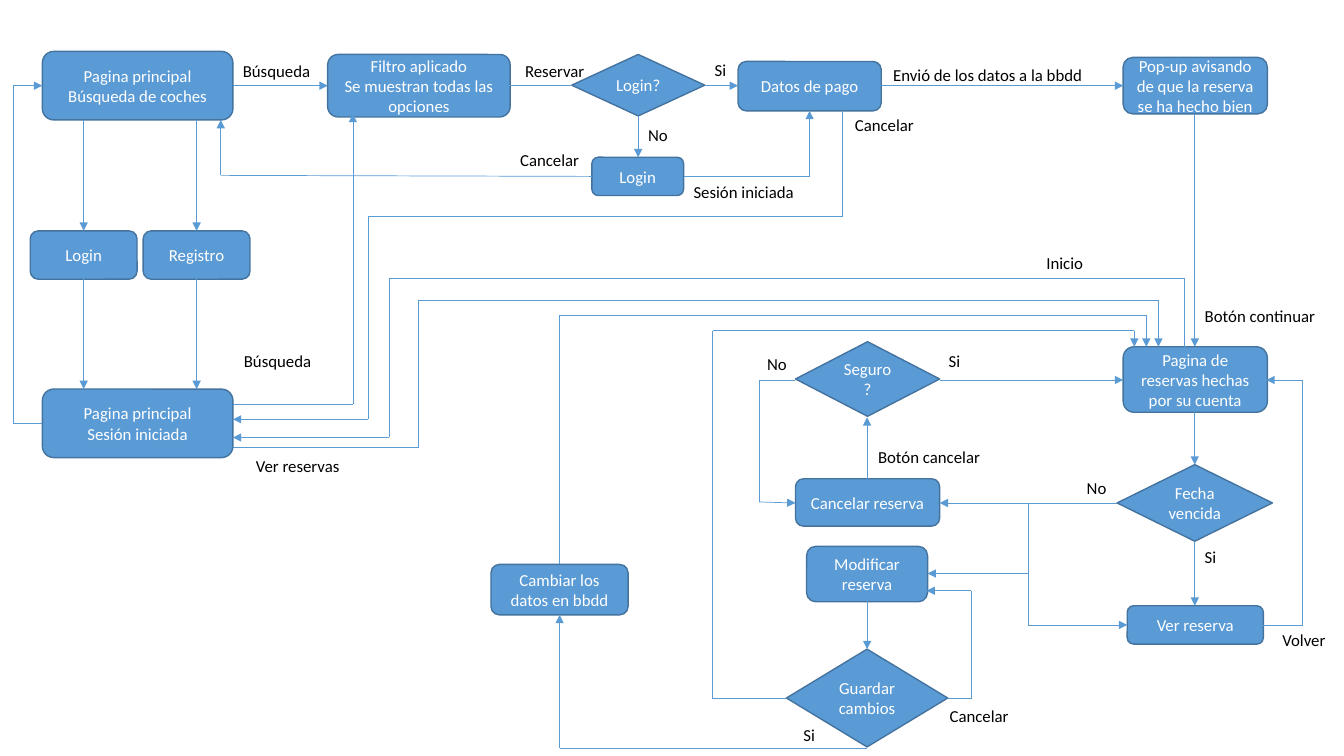
import pptx
import pptx.util
import pptx.dml.color
import pptx.enum.shapes
import pptx.enum.text
import lxml.etree
import itertools

Inches = pptx.util.Inches
Pt = pptx.util.Pt
Kind = pptx.enum.shapes.MSO_SHAPE
Text = pptx.enum.text
hues = {"fill": "5B9BD5", "edge": "43739E", "light": "FFFFFF", "dark": "000000"}
color = {name: pptx.dml.color.RGBColor.from_string(hue) for name, hue in hues.items()}

deck = pptx.Presentation()
deck.slide_width = Inches(13.33)
deck.slide_height = Inches(7.5)
slide = deck.slides.add_slide(deck.slide_layouts[6])


def write(frame, words, ink, align):
    frame.text = words
    for para in frame.paragraphs:
        para.alignment = align
        para.font.name = "Calibri"
        para.font.size = Pt(12)
        para.font.color.rgb = color[ink]


def join(start, end, arrow):
    line = slide.shapes.add_connector(
        pptx.enum.shapes.MSO_CONNECTOR.STRAIGHT, *map(Inches, start + end))
    line.line.color.rgb = color["fill"]
    line.line.width = Pt(0.5)
    if arrow:
        tail = pptx.oxml.ns.qn("a:tailEnd")
        lxml.etree.SubElement(line.line._get_or_add_ln(), tail, type="triangle")
    lxml.etree.SubElement(line._element.spPr, pptx.oxml.ns.qn("a:effectLst"))


boxes = [
    ("Pagina principal\nBúsqueda de coches", 0.42, 0.51, 1.89, 0.68),
    ("Filtro aplicado\nSe muestran todas las opciones", 3.25, 0.54, 1.81, 0.62),
    ("Login", 5.87, 1.56, 0.91, 0.38),
    ("Datos de pago", 7.32, 0.61, 1.42, 0.49),
    ("Pop-up avisando de que la reserva se ha hecho bien", 11.14, 0.57, 1.43, 0.56),
    ("Pagina de reservas hechas por su cuenta", 11.14, 3.44, 1.43, 0.65),
    ("Modificar reserva", 8, 5.42, 1.2, 0.55),
    ("Ver reserva", 11.18, 6.01, 1.35, 0.38),
    ("Cancelar reserva", 7.89, 4.75, 1.43, 0.47),
    ("Login", 0.3, 2.29, 1.06, 0.48),
    ("Registro", 1.42, 2.29, 1.06, 0.48),
    ("Pagina principal\nSesión iniciada", 0.42, 3.86, 1.89, 0.68),
    ("Cambiar los datos en bbdd", 4.87, 5.6, 1.36, 0.5),
]
tests = [
    ("Login?", 5.67, 0.54, 1.32, 0.61),
    ("Fecha vencida", 11.08, 4.61, 1.54, 0.76),
    ("Seguro?", 7.89, 3.39, 1.43, 0.74),
    ("Guardar cambios", 7.8, 6.44, 1.6, 0.97),
]
for kind, group in ((Kind.ROUNDED_RECTANGLE, boxes), (Kind.DIAMOND, tests)):
    for words, *place in group:
        node = slide.shapes.add_shape(kind, *map(Inches, place))
        node.shadow.inherit = False
        node.fill.solid()
        node.fill.fore_color.rgb = color["fill"]
        node.line.color.rgb = color["edge"]
        node.line.width = Pt(1)
        node.text_frame.word_wrap = True
        node.text_frame.vertical_anchor = Text.MSO_ANCHOR.MIDDLE
        write(node.text_frame, words, "light", Text.PP_ALIGN.CENTER)

arrows = [
    [(2.31, 0.85), (3.25, 0.85)],
    [(6.33, 1.15), (6.33, 1.56)],
    [(6.99, 0.85), (7.32, 0.85)],
    [(8.74, 0.85), (11.14, 0.85)],
    [(11.85, 1.13), (11.85, 3.44)],
    [(11.85, 4.09), (11.85, 4.61)],
    [(11.85, 5.37), (11.85, 6.01)],
    [(11.08, 4.99), (9.32, 4.99)],
    [(10.2, 4.99), (10.2, 6.2), (11.18, 6.2)],
    [(10.2, 5.69), (9.2, 5.69)],
    [(12.52, 6.2), (12.92, 6.2), (12.92, 3.77), (12.56, 3.77)],
    [(8.6, 4.75), (8.6, 4.14)],
    [(9.32, 3.77), (11.14, 3.77)],
    [(7.89, 3.77), (7.53, 3.77), (7.53, 4.98), (7.89, 4.99)],
    [(8.6, 5.96), (8.6, 6.44)],
    [(8.6, 7.42), (5.55, 7.42), (5.55, 6.1)],
    [(5.55, 5.6), (5.55, 3.13), (11.37, 3.13), (11.37, 3.44)],
    [(9.4, 6.93), (9.63, 6.93), (9.63, 5.86), (9.19, 5.86)],
    [(6.78, 1.75), (8.03, 1.75), (8.03, 1.1)],
    [(0.83, 1.19), (0.83, 2.29)],
    [(1.95, 1.19), (1.95, 2.29)],
    [(0.83, 2.76), (0.83, 3.86)],
    [(1.95, 2.76), (1.95, 3.86)],
    [(5.87, 1.75), (2.19, 1.74), (2.19, 1.19)],
    [(2.31, 4.01), (3.5, 4.01), (3.5, 1.13)],
    [(8.35, 1.1), (8.35, 2.15), (3.65, 2.15), (3.65, 4.16), (2.31, 4.16)],
    [(11.75, 3.44), (11.75, 2.76), (3.86, 2.76), (3.86, 4.34), (2.31, 4.34)],
    [(2.31, 4.44), (4.15, 4.44), (4.15, 2.98), (11.49, 2.98), (11.49, 3.44)],
    [(0.42, 4.2), (0.13, 4.2), (0.13, 0.85), (0.42, 0.85)],
    [(7.8, 6.93), (7.07, 6.93), (7.07, 3.28), (11.25, 3.28), (11.25, 3.44)],
]
join((5.05, 0.85), (5.67, 0.85), False)
for route in arrows:
    for start, end in itertools.pairwise(route):
        join(start, end, end == route[-1])

labels = [
    ("Búsqueda", 2.31, 0.55, 0.88),
    ("No", 6.33, 1.19, 0.4),
    ("Reservar", 5.11, 0.55, 0.8),
    ("Si", 6.99, 0.54, 0.32),
    ("Envió de los datos a la bbdd", 8.76, 0.59, 2.1),
    ("Botón continuar", 11.85, 2.98, 1.31),
    ("Si", 11.85, 5.37, 0.32),
    ("No", 10.68, 4.69, 0.4),
    ("Volver", 12.62, 6.2, 0.63),
    ("Si", 9.31, 3.43, 0.32),
    ("No", 7.51, 3.46, 0.4),
    ("Botón cancelar", 8.61, 4.38, 1.22),
    ("Si", 7.87, 7.14, 0.32),
    ("Sesión iniciada", 6.78, 1.75, 1.21),
    ("Cancelar", 5.06, 1.44, 0.79),
    ("Búsqueda", 2.32, 3.43, 0.88),
    ("Cancelar", 8.38, 1.09, 0.79),
    ("Inicio", 10.28, 2.46, 0.57),
    ("Ver reservas", 2.44, 4.47, 1.04),
    ("Cancelar", 9.32, 6.95, 0.79),
]
for words, *place in labels:
    label = slide.shapes.add_textbox(*map(Inches, place), Inches(0.3))
    label.text_frame.word_wrap = False
    label.text_frame.auto_size = Text.MSO_AUTO_SIZE.SHAPE_TO_FIT_TEXT
    write(label.text_frame, words, "dark", Text.PP_ALIGN.LEFT)

deck.save("out.pptx")
